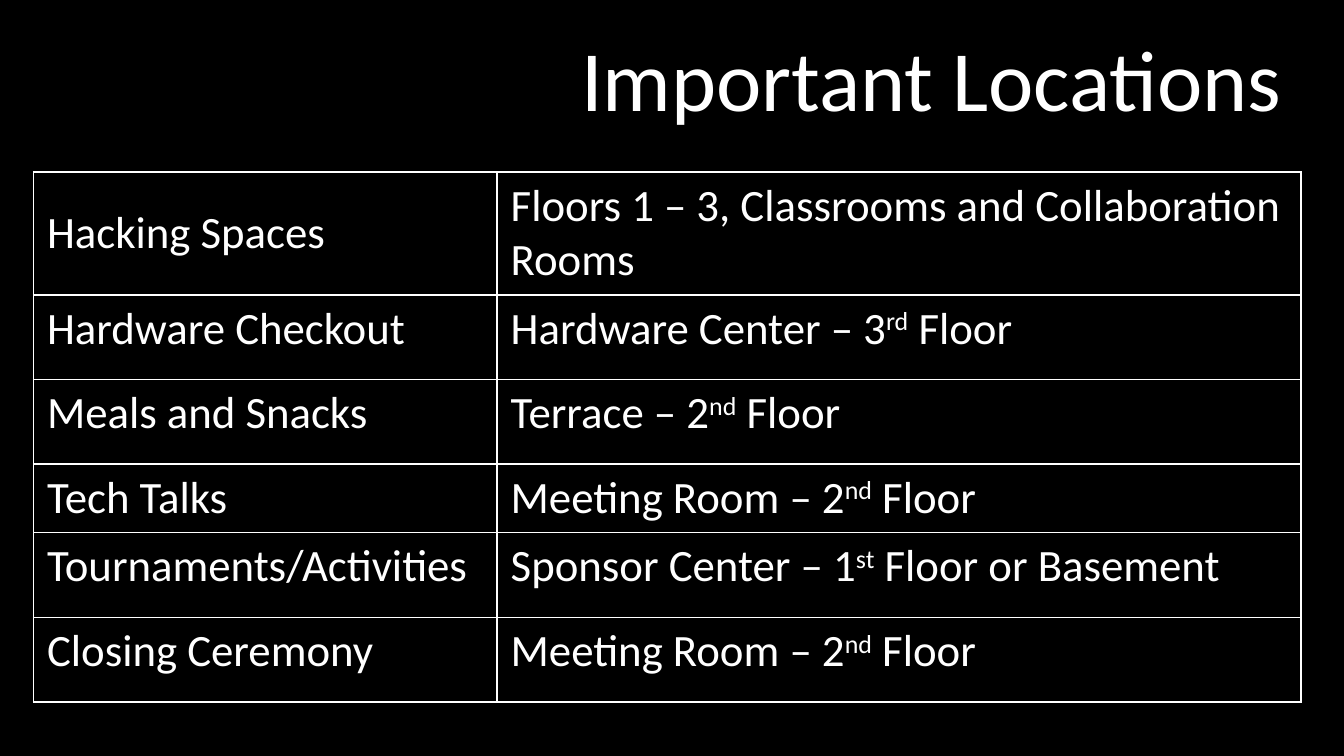
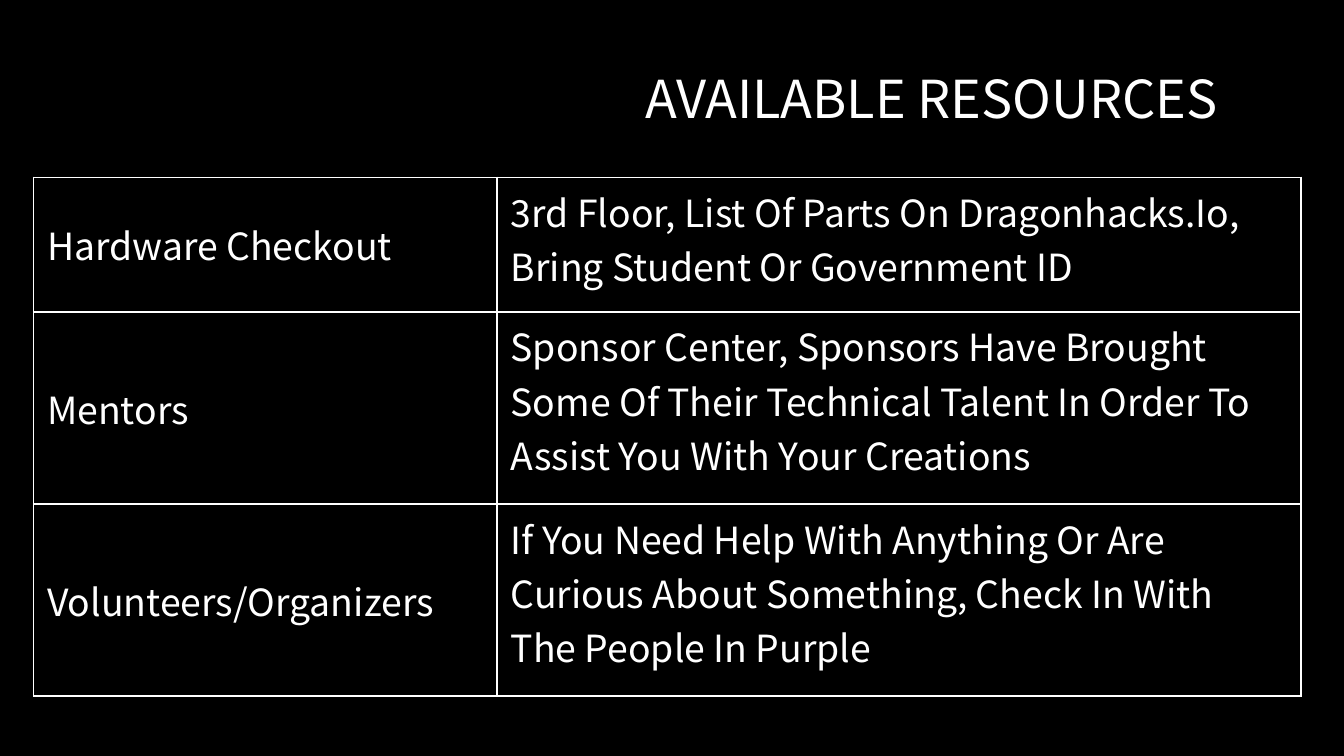
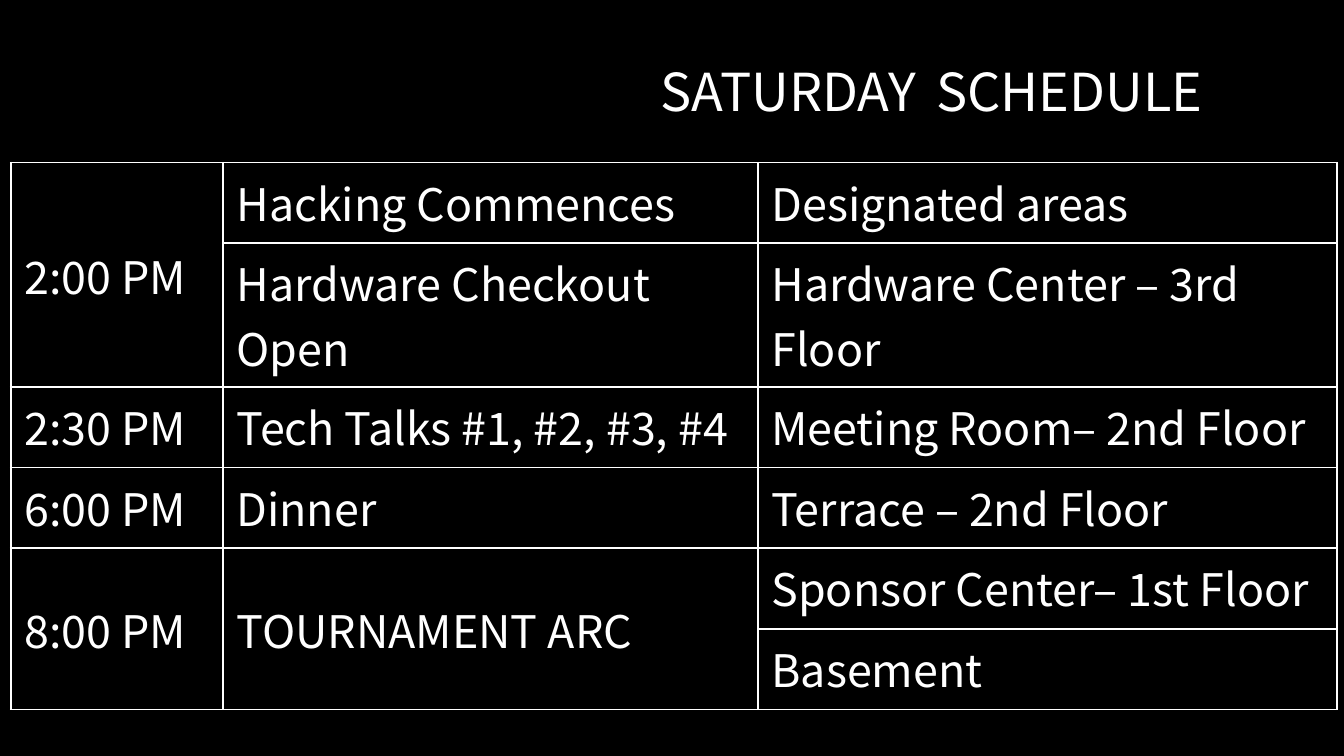
from dataclasses import dataclass

from lxml import etree
from pptx import Presentation
from pptx.dml.color import RGBColor
from pptx.enum.text import MSO_ANCHOR, MSO_AUTO_SIZE, PP_ALIGN
from pptx.oxml.ns import qn
from pptx.presentation import Presentation as Deck
from pptx.slide import Slide
from pptx.table import _Cell as Cell
from pptx.text.text import Font
from pptx.util import Inches, Pt

MIDDLE, BOTTOM = MSO_ANCHOR.MIDDLE, MSO_ANCHOR.BOTTOM
CENTER = PP_ALIGN.CENTER
NO_AUTOFIT = MSO_AUTO_SIZE.NONE

BLACK, WHITE = "000000", "FFFFFF"
CALIBRI, NOTO = "Calibri", "Noto Sans CJK TC"
SLIDE_WIDTH = Inches(10)
SLIDE_HEIGHT = SLIDE_WIDTH * 9 // 16
TITLE_ONLY = 5
BORDER_SIDES = ("a:lnL", "a:lnR", "a:lnT", "a:lnB")


@dataclass(frozen=True)
class Type:
    name: str
    size: int


@dataclass(frozen=True)
class Merge:
    """A cell that runs down into the row below it."""
    row: int
    column: int


@dataclass(frozen=True)
class Page:
    """One titled table; ^ encloses superscripts and a newline starts a paragraph."""
    title: str
    title_type: Type
    left: float
    top: float
    columns: tuple[float, ...]
    heights: tuple[float, ...]
    cell_type: Type
    rows: tuple[tuple[str, ...], ...]
    centred: tuple[tuple[int, int], ...] = ()
    merges: tuple[Merge, ...] = ()
    word_gap: Type | None = None


PAGES = (
    Page(
        "Important Locations", Type(CALIBRI, 46), 0.25, 1.28,
        (3.45, 5.98), (0.91, 0.63, 0.63, 0.51, 0.63, 0.63), Type(CALIBRI, 24),
        (
            ("Hacking Spaces", "Floors 1 – 3, Classrooms and Collaboration Rooms"),
            ("Hardware Checkout", "Hardware Center – 3^rd^ Floor"),
            ("Meals and Snacks", "Terrace – 2^nd^ Floor"),
            ("Tech Talks", "Meeting Room – 2^nd^ Floor"),
            ("Tournaments/Activities", "Sponsor Center – 1^st^ Floor or Basement"),
            ("Closing Ceremony", "Meeting Room – 2^nd^ Floor"),
        ),
        centred=((0, 0),),
    ),
    Page(
        "AVAILABLE RESOURCES", Type(NOTO, 28), 0.25, 1.32,
        (3.45, 5.98), (1, 1.43, 1.43), Type(NOTO, 20),
        (
            ("Hardware Checkout",
             "3rd Floor, List Of Parts On Dragonhacks.Io,\nBring Student Or Government ID"),
            ("Mentors",
             "Sponsor Center, Sponsors Have Brought Some Of Their Technical Talent "
             "In Order To Assist You With Your Creations"),
            ("Volunteers/Organizers",
             "If You Need Help With Anything Or Are Curious About Something, "
             "Check In With The People In Purple"),
        ),
        centred=((0, 0), (1, 0), (2, 0)),
    ),
    Page(
        "SATURDAY SCHEDULE", Type(NOTO, 28), 0.08, 1.21,
        (1.58, 3.98, 4.31), (0.6, 1.07, 0.6, 0.6, 0.6, 0.6), Type(NOTO, 24),
        (
            ("2:00 PM", "Hacking Commences", "Designated areas"),
            ("", "Hardware Checkout Open", "Hardware Center – 3rd Floor"),
            ("2:30 PM", "Tech Talks #1, #2, #3, #4", "Meeting Room– 2nd Floor"),
            ("6:00 PM", "Dinner", "Terrace – 2nd Floor"),
            ("8:00 PM", "TOURNAMENT ARC", "Sponsor Center– 1st Floor"),
            ("", "", "Basement"),
        ),
        centred=((0, 0), (4, 0), (4, 1)),
        merges=(Merge(0, 0), Merge(4, 0), Merge(4, 1)),
        word_gap=Type(CALIBRI, 48),
    ),
)


def rgb(value: str) -> RGBColor:
    return RGBColor.from_string(value)


def set_type(font: Font, face: Type) -> None:
    font.name = face.name
    font.size = Pt(face.size)
    font.color.rgb = rgb(WHITE)


def add_title(slide: Slide, page: Page) -> None:
    title = slide.shapes.title
    title.left, title.top = Inches(3.4), Inches(0)
    title.width, title.height = Inches(7.06), Inches(1.06)
    frame = title.text_frame
    frame.margin_left = frame.margin_right = Inches(0.1)
    frame.margin_top = frame.margin_bottom = Inches(0.1)
    frame.vertical_anchor = BOTTOM
    frame.word_wrap = True
    frame.auto_size = NO_AUTOFIT
    line = frame.paragraphs[0]
    line.alignment = CENTER
    if page.word_gap is None:
        line.add_run().text = page.title
        set_type(line.font, page.title_type)
        return
    first, gap, second = page.title.partition(" ")
    for part, face in ((first, page.title_type), (gap, page.word_gap), (second, page.title_type)):
        run = line.add_run()
        run.text = part
        set_type(run.font, face)


def style_cell(cell: Cell) -> None:
    properties = cell._tc.get_or_add_tcPr()
    for side in BORDER_SIDES:
        border = etree.SubElement(properties, qn(side), w=str(Pt(1)))
        fill = etree.SubElement(border, qn("a:solidFill"))
        etree.SubElement(fill, qn("a:srgbClr"), val=WHITE)
    cell.fill.solid()
    cell.fill.fore_color.rgb = rgb(BLACK)


def write_cell(cell: Cell, text: str, face: Type) -> None:
    frame = cell.text_frame
    for index, words in enumerate(text.split("\n")):
        paragraph = frame.add_paragraph() if index else frame.paragraphs[0]
        set_type(paragraph.font, face)
        for position, part in enumerate(words.split("^")):
            run = paragraph.add_run()
            run.text = part
            if position % 2:
                run._r.get_or_add_rPr().set("baseline", "30000")


def add_grid(slide: Slide, page: Page) -> None:
    grid = slide.shapes.add_table(
        len(page.rows), len(page.columns), Inches(page.left), Inches(page.top),
        Inches(sum(page.columns)), Inches(sum(page.heights)),
    ).table
    grid.first_row = grid.horz_banding = False
    for column, width in zip(grid.columns, page.columns):
        column.width = Inches(width)
    for row, height in zip(grid.rows, page.heights):
        row.height = Inches(height)
    for r, texts in enumerate(page.rows):
        for c, text in enumerate(texts):
            cell = grid.cell(r, c)
            style_cell(cell)
            if text:
                write_cell(cell, text, page.cell_type)
    for r, c in page.centred:
        grid.cell(r, c).vertical_anchor = MIDDLE
    for merge in page.merges:
        grid.cell(merge.row, merge.column).merge(grid.cell(merge.row + 1, merge.column))


def add_page(deck: Deck, page: Page) -> None:
    slide = deck.slides.add_slide(deck.slide_layouts[TITLE_ONLY])
    add_title(slide, page)
    add_grid(slide, page)


def main() -> None:
    deck = Presentation()
    deck.slide_width, deck.slide_height = SLIDE_WIDTH, SLIDE_HEIGHT
    backdrop = deck.slide_master.background.fill
    backdrop.solid()
    backdrop.fore_color.rgb = rgb(BLACK)
    for page in PAGES:
        add_page(deck, page)
    deck.save("out.pptx")


if __name__ == "__main__":
    main()
